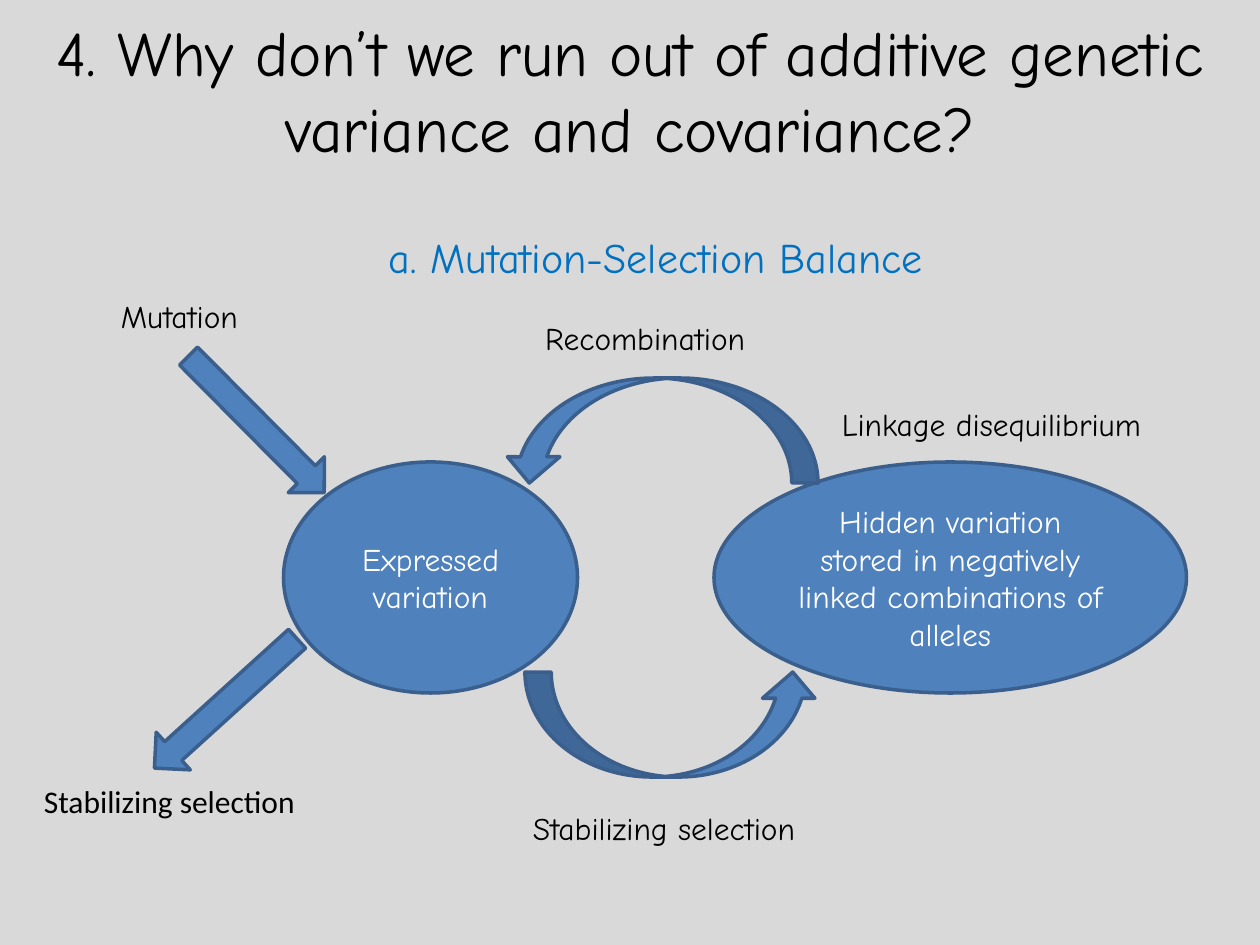
from pptx import Presentation
from pptx import util as u
from pptx.dml.color import RGBColor
from pptx.enum import shapes, text

Pt = u.Pt
SHAPE = shapes.MSO_SHAPE
ALIGN = text.PP_ALIGN
BACKGROUND = RGBColor(0xD9, 0xD9, 0xD9)
FILL = RGBColor(0x4F, 0x81, 0xBD)
OUTLINE = RGBColor(0x3A, 0x5F, 0x8C)
HEADING = RGBColor(0x00, 0x70, 0xC0)
BLACK = RGBColor(0, 0, 0)
WHITE = RGBColor(0xFF, 0xFF, 0xFF)
FONT = "Comic Neue"


def write(tf, words, size=18, font=FONT, color=BLACK, align=ALIGN.LEFT,
          anchor=text.MSO_ANCHOR.TOP, wrap=True, fit=text.MSO_AUTO_SIZE.NONE):
    tf.word_wrap = wrap
    tf.auto_size = fit
    tf.vertical_anchor = anchor
    p = tf.paragraphs[0]
    p.alignment = align
    r = p.add_run()
    r.text = words
    r.font.size = Pt(size)
    r.font.name = font
    r.font.color.rgb = color


def add_title(s, box, words):
    sp = s.shapes.title
    sp.left, sp.top, sp.width, sp.height = map(Pt, box)
    write(sp.text_frame, words, size=36, align=ALIGN.CENTER,
          anchor=text.MSO_ANCHOR.MIDDLE)


def add_label(s, box, words, **fmt):
    sp = s.shapes.add_textbox(*map(Pt, box))
    write(sp.text_frame, words, wrap=False,
          fit=text.MSO_AUTO_SIZE.SHAPE_TO_FIT_TEXT, **fmt)


def add_figure(s, kind, box, rotation=0, flip=False):
    sp = s.shapes.add_shape(kind, *map(Pt, box))
    sp.shadow.inherit = False
    sp.fill.solid()
    sp.fill.fore_color.rgb = FILL
    sp.line.color.rgb = OUTLINE
    sp.line.width = Pt(2)
    sp.rotation = rotation
    if flip:
        sp.element.spPr.get_or_add_xfrm().set("flipH", "1")
    return sp


def add_pool(s, box, words):
    sp = add_figure(s, SHAPE.OVAL, box)
    write(sp.text_frame, words, color=WHITE, align=ALIGN.CENTER,
          anchor=text.MSO_ANCHOR.MIDDLE)


def add_diagram(s, box):
    x, y, w, h = box
    pool_y, pool_h = y + 98, 132
    add_pool(s, (x + 144, pool_y, 168, pool_h), "Expressed variation")
    add_pool(s, (x + w - 270, pool_y, 270, pool_h),
             "Hidden variation stored in negatively linked combinations of alleles")

    add_figure(s, SHAPE.CURVED_UP_ARROW, (x + 282, y + 218, 168, 60))
    add_figure(s, SHAPE.CURVED_DOWN_ARROW, (x + 269.5, y + 50, 180, 60), flip=True)
    add_figure(s, SHAPE.RIGHT_ARROW, (x + 73.5, y + 62, 110, 29), rotation=45.2)
    add_figure(s, SHAPE.RIGHT_ARROW, (x + 56, y + 221.5, 110, 29),
               rotation=317.8, flip=True)

    labels = [
        (286.5, 13, 136, "Recombination", FONT),
        (279.5, h - 29, 186, "Stabilizing selection", FONT),
        (44, 0, 91, "Mutation", FONT),
        (0, 277.5, 160, "Stabilizing selection", "Calibri"),
        (456, 62, 200, "Linkage disequilibrium", FONT),
    ]
    for dx, dy, width, words, font in labels:
        add_label(s, (x + dx, y + dy, width, 29), words, font=font)


def main():
    prs = Presentation()
    prs.slide_width, prs.slide_height = Pt(720), Pt(540)
    s = prs.slides.add_slide(prs.slide_layouts[5])
    s.background.fill.solid()
    s.background.fill.fore_color.rgb = BACKGROUND
    add_title(s, (0, 6, 720, 90),
              "4. Why don’t we run out of additive genetic variance and covariance?")
    add_label(s, (215, 129, 351, 36), "a. Mutation-Selection Balance",
              size=24, color=HEADING)
    add_diagram(s, (18, 166, 660, 322))
    prs.save("out.pptx")


if __name__ == "__main__":
    main()
